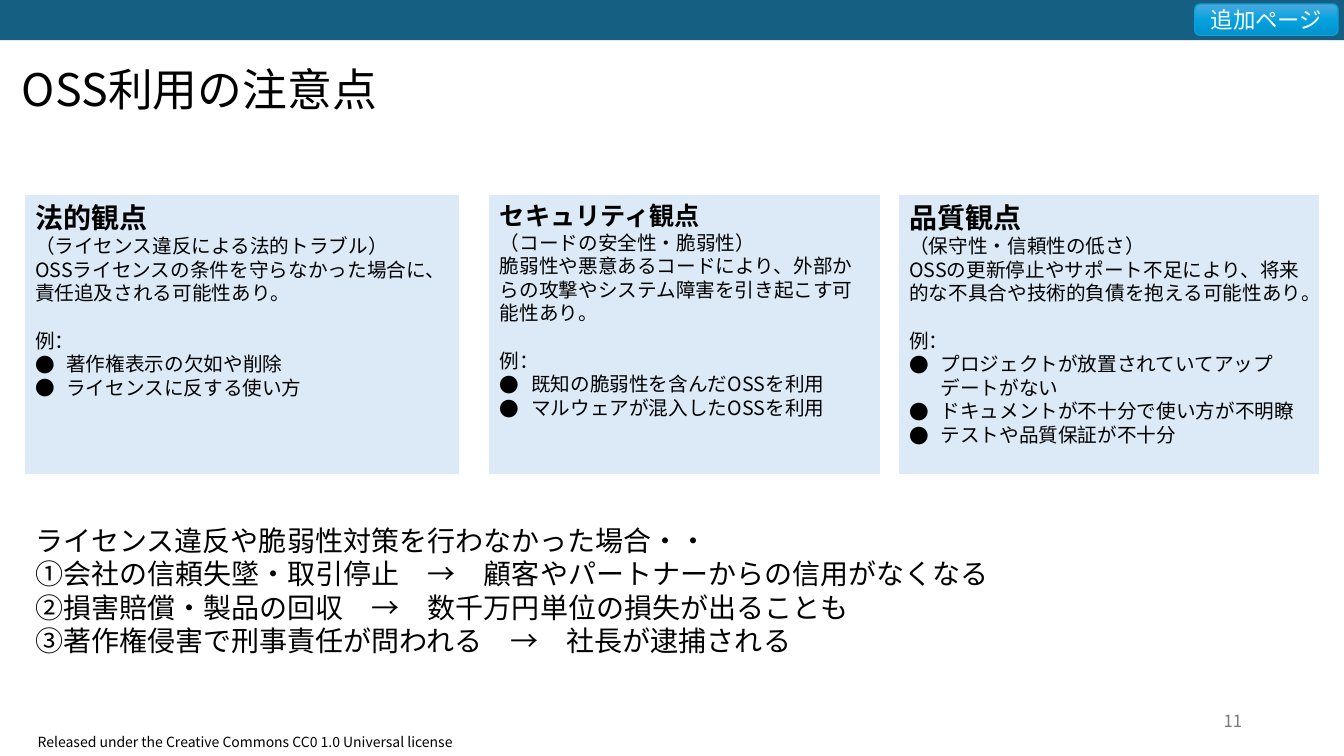
"""Builds the slide on points to note when using OSS."""
from lxml import etree
from pptx import Presentation
from pptx.dml.color import RGBColor
from pptx.enum.shapes import MSO_SHAPE
from pptx.enum.text import MSO_ANCHOR, PP_ALIGN
from pptx.oxml import parse_xml
from pptx.oxml.ns import nsdecls, qn
from pptx.util import Inches, Pt

RECT, ROUND = MSO_SHAPE.RECTANGLE, MSO_SHAPE.ROUNDED_RECTANGLE
LEFT, CENTER, RIGHT = PP_ALIGN.LEFT, PP_ALIGN.CENTER, PP_ALIGN.RIGHT
TOP, MIDDLE = MSO_ANCHOR.TOP, MSO_ANCHOR.MIDDLE
FONT = "Noto Sans CJK JP"
BLACK = RGBColor(0x00, 0x00, 0x00)
WHITE = RGBColor(0xFF, 0xFF, 0xFF)
GRAY = RGBColor(0x79, 0x79, 0x79)
BAND = RGBColor(0x15, 0x60, 0x82)
PALE = RGBColor(0xDC, 0xEA, 0xF7)
TAG_LINE = RGBColor(0x0F, 0x9E, 0xD5)
TAG_STOPS = [(0, "4CAADF"), (50, "05A2DF"), (100, "0092CB")]

TITLE = "OSS利用の注意点"
TAG = "追加ページ"
LICENSE = "Released under the Creative Commons CC0 1.0 Universal license"
PAGE = "11"
EXAMPLE = "例："
CARDS = [
    (0.25, 4.3, "法的観点", 20, "（ライセンス違反による法的トラブル）",
     "OSSライセンスの条件を守らなかった場合に、責任追及される可能性あり。",
     ["著作権表示の欠如や削除", "ライセンスに反する使い方"]),
    (4.86, 3.86, "セキュリティ観点", 18, "（コードの安全性・脆弱性）",
     "脆弱性や悪意あるコードにより、外部からの攻撃やシステム障害を引き起こす可能性あり。",
     ["既知の脆弱性を含んだOSSを利用", "マルウェアが混入したOSSを利用"]),
    (8.92, 4.16, "品質観点", 20, "（保守性・信頼性の低さ）",
     "OSSの更新停止やサポート不足により、将来的な不具合や技術的負債を抱える可能性あり。",
     ["プロジェクトが放置されていてアップデートがない",
      "ドキュメントが不十分で使い方が不明瞭", "テストや品質保証が不十分"]),
]
RISKS = [
    "ライセンス違反や脆弱性対策を行わなかった場合・・",
    "①会社の信頼失墜・取引停止　→　顧客やパートナーからの信用がなくなる",
    "②損害賠償・製品の回収　→　数千万円単位の損失が出ることも",
    "③著作権侵害で刑事責任が問われる　→　社長が逮捕される",
]
CARD_TOP, CARD_HEIGHT = 1.94, 2.76
BODY_SIZE, EXAMPLE_GAP, BULLET_INDENT = 14, 17, 0.31


def add_box(s, box, shape=None, fill=None, line=None, width=0.75):
    """Adds a text box, or a preset shape with its fill and line."""
    place = [Inches(v) for v in box]
    if shape is None:
        return s.shapes.add_textbox(*place)
    sp = s.shapes.add_shape(shape, *place)
    sp.shadow.inherit = False
    if fill is not None:
        sp.fill.solid()
        sp.fill.fore_color.rgb = fill
    if line is None:
        sp.line.fill.background()
    else:
        sp.line.color.rgb = line
        sp.line.width = Pt(width)
    return sp


def add_bullet(p):
    """Gives a paragraph a hanging round bullet."""
    pPr = p._p.get_or_add_pPr()
    indent = Inches(BULLET_INDENT)
    pPr.set("marL", str(indent))
    pPr.set("indent", str(-indent))
    etree.SubElement(pPr, qn("a:buFont")).set("typeface", FONT)
    etree.SubElement(pPr, qn("a:buChar")).set("char", "●")


def write(sp, lines, size, color=BLACK, align=LEFT, anchor=TOP):
    """Fills a shape with (text, format) lines."""
    tf = sp.text_frame
    tf.word_wrap = True
    tf.vertical_anchor = anchor
    for i, (text, fmt) in enumerate(lines):
        p = tf.add_paragraph() if i else tf.paragraphs[0]
        p.alignment = align
        for name, value in fmt.get("para", {}).items():
            setattr(p, name, value)
        if fmt.get("bullet"):
            add_bullet(p)
        r = p.add_run()
        r.text = text
        font = {"name": FONT, "size": Pt(size), "bold": False, **fmt.get("font", {})}
        for name, value in font.items():
            setattr(r.font, name, value)
        r.font.color.rgb = color
        etree.SubElement(r._r.get_or_add_rPr(), qn("a:ea")).set("typeface", FONT)


def add_gradient(sp, stops):
    """Fills a shape from top to bottom with the given colour stops."""
    marks = "".join(f'<a:gs pos="{pos * 1000}"><a:srgbClr val="{rgb}"/></a:gs>'
                    for pos, rgb in stops)
    sp._element.spPr.find(qn("a:prstGeom")).addnext(parse_xml(
        f'<a:gradFill {nsdecls("a")} rotWithShape="1"><a:gsLst>{marks}</a:gsLst>'
        '<a:lin ang="5400000" scaled="0"/></a:gradFill>'))


def add_card(s, left, width, heading, size, subtitle, body, examples):
    """Adds one viewpoint with its explanation and examples."""
    sp = add_box(s, (left, CARD_TOP, width, CARD_HEIGHT), RECT, PALE, PALE)
    lines = [(heading, {"font": {"size": Pt(size), "bold": True}}),
             (subtitle, {}), (body, {}),
             (EXAMPLE, {"para": {"space_before": Pt(EXAMPLE_GAP)}})]
    lines += [(text, {"bullet": True}) for text in examples]
    write(sp, lines, BODY_SIZE)


def main():
    """Builds and saves the slide."""
    prs = Presentation()
    prs.slide_width, prs.slide_height = Inches(13.33), Inches(7.5)
    s = prs.slides.add_slide(prs.slide_layouts[6])
    add_box(s, (0, 0, 13.33, 0.4), RECT, BAND)
    write(add_box(s, (0.03, 7.23, 4.8, 0.27)), [(LICENSE, {})], 10, align=CENTER)
    tag = add_box(s, (11.85, 0.04, 1.42, 0.31), ROUND, line=TAG_LINE, width=1)
    add_gradient(tag, TAG_STOPS)
    write(tag, [(TAG, {})], 16, WHITE, CENTER, MIDDLE)
    write(add_box(s, (9.42, 6.95, 3, 0.4)), [(PAGE, {})], 12, GRAY, RIGHT, MIDDLE)
    write(add_box(s, (0.12, 0.62, 11.46, 0.76)),
          [(TITLE, {"para": {"line_spacing": 0.9}})], 32)
    for card in CARDS:
        add_card(s, *card)
    write(add_box(s, (0.25, 5.14, 12.17, 1.45)), [(text, {}) for text in RISKS], 20)
    prs.save("out.pptx")


if __name__ == "__main__":
    main()
